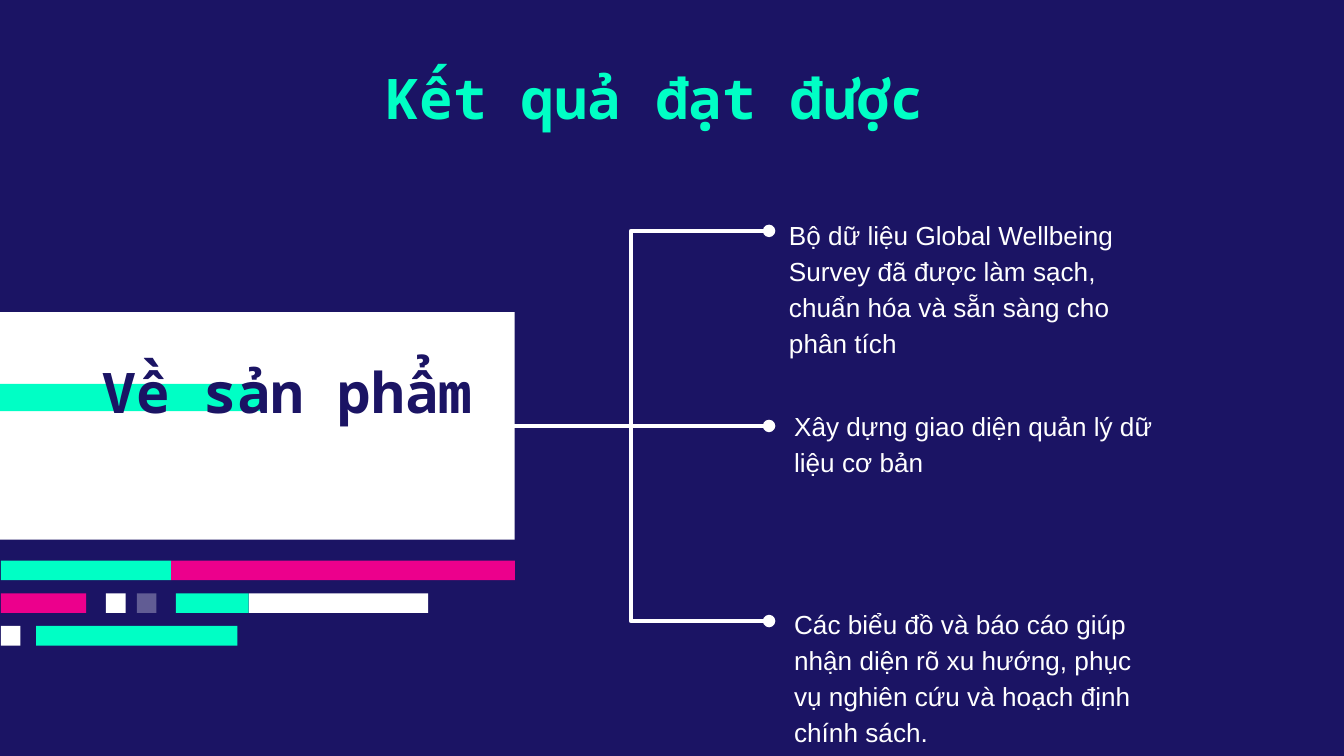
from lxml import etree
from pptx import Presentation
from pptx.dml.color import RGBColor
from pptx.enum.shapes import MSO_CONNECTOR, MSO_SHAPE
from pptx.enum.text import MSO_ANCHOR, MSO_AUTO_SIZE, PP_ALIGN
from pptx.oxml.ns import qn
from pptx.util import Pt

RECTANGLE = MSO_SHAPE.RECTANGLE
ELBOW, STRAIGHT = MSO_CONNECTOR.ELBOW, MSO_CONNECTOR.STRAIGHT
TOP, MIDDLE = MSO_ANCHOR.TOP, MSO_ANCHOR.MIDDLE
LEFT, CENTER, RIGHT = PP_ALIGN.LEFT, PP_ALIGN.CENTER, PP_ALIGN.RIGHT
NO_AUTOFIT = MSO_AUTO_SIZE.NONE

COLORS = {"navy": "1B1464", "white": "FFFFFF", "mint": "00FFC5", "pink": "EC008C"}
HEADING_FONT = {"name": "Noto Sans Mono", "size": Pt(30), "bold": True}
BODY_FONT = {"name": "Arial", "size": Pt(14), "bold": False}


def add_block(left, top, width, height, color):
    block = slide.shapes.add_shape(RECTANGLE, Pt(left), Pt(top), Pt(width), Pt(height))
    block.shadow.inherit = False
    block.fill.solid()
    block.fill.fore_color.rgb = RGBColor.from_string(COLORS[color])
    block.line.fill.background()
    return block


def write_text(holder, text, font, color, align, anchor, inset=0, spacing=1.0):
    frame = holder.text_frame
    frame.text = text
    frame_format = {
        "word_wrap": True, "auto_size": NO_AUTOFIT, "vertical_anchor": anchor,
        "margin_left": Pt(7.2), "margin_right": Pt(7.2),
        "margin_top": Pt(inset), "margin_bottom": Pt(inset),
    }
    paragraph = frame.paragraphs[0]
    paragraph_format = {"alignment": align, "line_spacing": spacing}
    run_font = paragraph.runs[0].font
    for target, values in ((frame, frame_format), (paragraph, paragraph_format), (run_font, font)):
        for attribute, value in values.items():
            setattr(target, attribute, value)
    run_font.color.rgb = RGBColor.from_string(COLORS[color])


deck = Presentation()
deck.slide_width, deck.slide_height = Pt(720), Pt(405)
slide = deck.slides.add_slide(deck.slide_layouts[5])
slide.background.fill.solid()
slide.background.fill.fore_color.rgb = RGBColor.from_string(COLORS["navy"])

title = slide.shapes.title
title_box = {"left": Pt(100.8), "top": Pt(27), "width": Pt(518.4), "height": Pt(52.6)}
for attribute, value in title_box.items():
    setattr(title, attribute, value)
write_text(title, "Kết quả đạt được ", HEADING_FONT, "mint", CENTER, TOP, inset=7.2)

add_block(0, 167.2, 275.8, 122, "white")
add_block(0, 205.7, 140.4, 14.6, "mint")
topic = slide.shapes.add_textbox(Pt(19), Pt(194), Pt(241.2), Pt(31))
write_text(topic, "Về sản phẩm", HEADING_FONT, "navy", RIGHT, MIDDLE)

BAR_TOP, BAR_STEP, BAR_HEIGHT = 300.4, 17.5, 10.5
bar_rows = [
    [(0.5, 91.2, "mint", 100), (91.7, 184.1, "pink", 100)],
    [(0.5, 45.6, "pink", 100), (56.8, 10.5, "white", 100), (73.4, 10.5, "white", 31),
     (94.3, 39, "mint", 100), (133.3, 96, "white", 100)],
    [(0.5, 10.5, "white", 100), (19.4, 107.8, "mint", 100)],
]
for row, bars in enumerate(bar_rows):
    for left, width, color, opacity in bars:
        bar = add_block(left, BAR_TOP + row * BAR_STEP, width, BAR_HEIGHT, color)
        if opacity < 100:
            shade = bar.fill._xPr.find(qn("a:solidFill"))[0]
            etree.SubElement(shade, qn("a:alpha"), val=str(opacity * 1000))

BRANCH_START, BRANCH_END, BRANCH_MIDDLE, BRANCH_STEP = 264, 412, 228.2, 104.5
results = [
    (415.6, 115, "Bộ dữ liệu Global Wellbeing Survey đã được làm sạch, "
                 "chuẩn hóa và sẵn sàng cho phân tích"),
    (418.3, 217.4, "Xây dựng giao diện quản lý dữ liệu cơ bản"),
    (418.3, 323.3, "Các biểu đồ và báo cáo giúp nhận diện rõ xu hướng, "
                   "phục vụ nghiên cứu và hoạch định chính sách."),
]
for offset, (left, top, text) in enumerate(results, start=-1):
    result = slide.shapes.add_textbox(Pt(left), Pt(top), Pt(212.4), Pt(21.6))
    write_text(result, text, BODY_FONT, "white", LEFT, TOP, spacing=1.15)

    branch = slide.shapes.add_connector(
        ELBOW if offset else STRAIGHT, Pt(BRANCH_START), Pt(BRANCH_MIDDLE),
        Pt(BRANCH_END), Pt(BRANCH_MIDDLE + offset * BRANCH_STEP))
    branch.line.width = Pt(2.25)
    branch.line.color.rgb = RGBColor.from_string(COLORS["white"])
    etree.SubElement(branch.line._get_or_add_ln(), qn("a:tailEnd"), type="oval")
    etree.SubElement(branch._element.spPr, qn("a:effectLst"))

deck.save("out.pptx")
